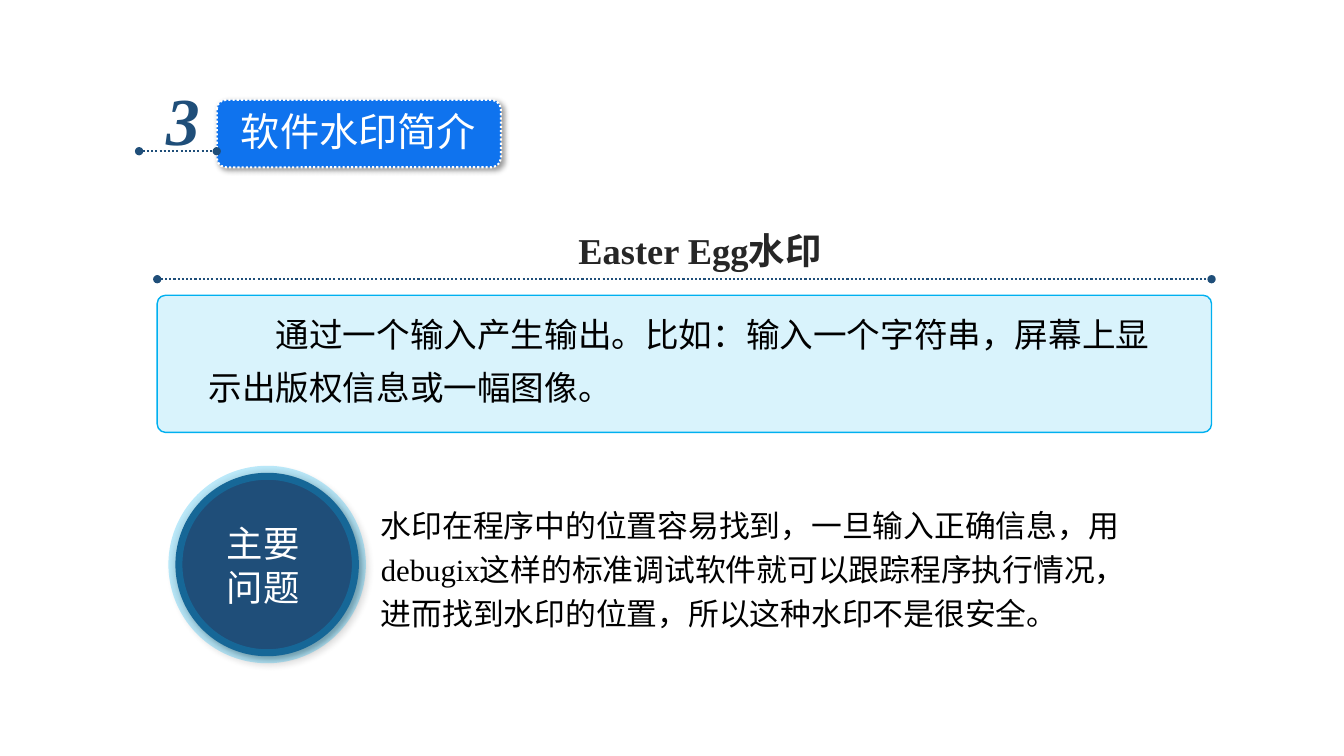
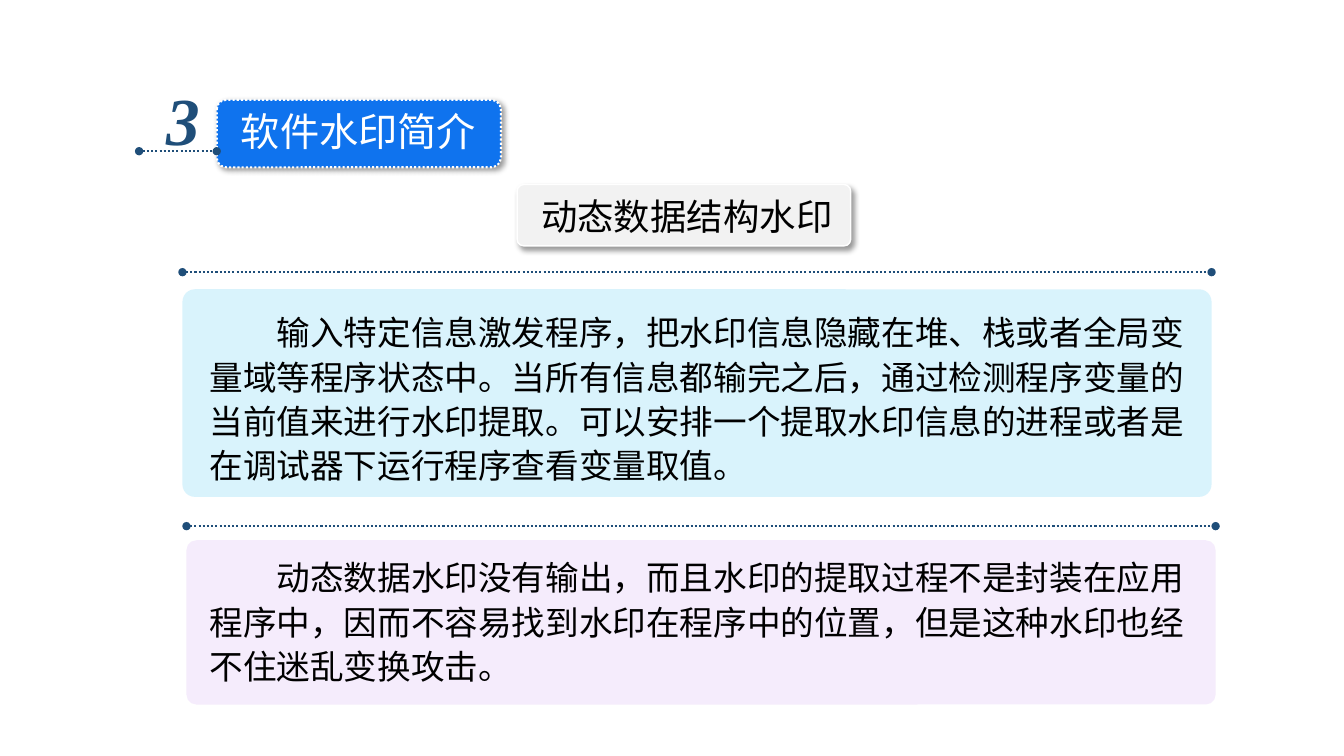
from lxml.etree import SubElement
from pptx import Presentation
from pptx.dml.color import RGBColor as Rgb
from pptx.enum.dml import MSO_LINE as Dash
from pptx.enum.shapes import MSO_CONNECTOR as Link, MSO_SHAPE as Form
from pptx.enum.text import MSO_ANCHOR as Anchor, MSO_AUTO_SIZE as Fit, PP_ALIGN as Align
from pptx.oxml.ns import qn
from pptx.util import Inches, Pt

CELL = Inches(1) // 6
COLUMNS, ROWS = 80, 45
TITLE_ONLY = 5
SANS, SERIF = "Noto Sans CJK SC", "Times New Roman"
COLORS = {
    "white": "FFFFFF", "black": "000000", "ink": "262626", "navy": "1F4E79",
    "badge": "0F73EE", "cyan": "00B0F0", "lilac": "E3C9F7", "grey": "F2F2F2",
}


def cells(*counts):
    """Turn grid counts into lengths."""
    return [round(count * CELL) for count in counts]


def color(name):
    """Look up a palette colour."""
    return Rgb.from_string(COLORS[name])


def set_alpha(holder, percent):
    """Make the first colour inside an element partly transparent."""
    tint = next(holder.iter(qn("a:srgbClr")))
    SubElement(tint, qn("a:alpha"), val=str(percent * 1000))


class Deck:
    """Hold the shared style and the current slide."""

    def __init__(self):
        """Open a blank widescreen presentation."""
        self.show = Presentation()
        self.show.slide_width, self.show.slide_height = cells(COLUMNS, ROWS)
        self.slide = None

    def section(self, number, title):
        """Start a slide with its numbered section badge."""
        self.slide = self.show.slides.add_slide(self.show.slide_layouts[TITLE_ONLY])
        badge = self.form((12.9, 5.94, 16.92, 4.02), "badge", corner=0.14,
                          line="white", weight=1.5, dash=Dash.ROUND_DOT, shadow=True)
        heading = self.slide.shapes.title
        heading.left, heading.top, heading.width, heading.height = cells(13.74, 6.42, 15.36, 3.18)
        badge.element.addnext(heading.element)
        self.set_words(heading, title, 28, "white", spacing=0.9, wrap=False)
        self.text((9.3, 4.38, 3.24, 5.46), number, 48, "navy", font=SERIF,
                  bold=True, italic=True, wrap=False)
        self.rule(8.28, 12.9, 9)

    def form(self, box, fill, kind=Form.ROUNDED_RECTANGLE, corner=None, alpha=None,
             line=None, weight=1, dash=None, line_alpha=None, shadow=False):
        """Draw a filled preset shape."""
        form = self.slide.shapes.add_shape(kind, *cells(*box))
        form.shadow.inherit = False
        if corner is not None:
            form.adjustments[0] = corner
        form.fill.solid()
        form.fill.fore_color.rgb = color(fill)
        props = form.element.spPr
        if alpha:
            set_alpha(props, alpha)
        if line:
            form.line.color.rgb = color(line)
            form.line.width = Pt(weight)
            if dash:
                form.line.dash_style = dash
            if line_alpha:
                set_alpha(props.find(qn("a:ln")), line_alpha)
        else:
            form.line.fill.background()
        if shadow:
            cast = SubElement(props.find(qn("a:effectLst")), qn("a:outerShdw"),
                              blurRad=str(Pt(4)), dist=str(Pt(3)), dir="2700000",
                              algn="tl", rotWithShape="0")
            SubElement(cast, qn("a:srgbClr"), val=COLORS["black"])
            set_alpha(cast, 40)
        return form

    def rule(self, start, end, row):
        """Draw a dotted line with round ends."""
        rule = self.slide.shapes.add_connector(Link.STRAIGHT, *cells(start, row, end, row))
        rule.line.color.rgb = color("navy")
        rule.line.width = Pt(1.5)
        rule.line.dash_style = Dash.ROUND_DOT
        props = rule.element.spPr
        for end_tag in ("a:headEnd", "a:tailEnd"):
            SubElement(props.find(qn("a:ln")), qn(end_tag), type="oval")
        SubElement(props, qn("a:effectLst"))

    def panel(self, box, gap, fill, alpha, line=None):
        """Draw a tinted panel with a rule above it."""
        left, top, width, _ = box
        self.rule(left, left + width, top - gap)
        self.form(box, fill, corner=0.06, alpha=alpha, line=line)

    def text(self, box, words, size, ink="black", **style):
        """Add a text box."""
        self.set_words(self.slide.shapes.add_textbox(*cells(*box)), words, size, ink, **style)

    def set_words(self, holder, words, size, ink, font=SANS, bold=False, italic=False,
                  spacing=1.0, indent=0, wrap=True):
        """Fill a text holder with one styled paragraph."""
        frame = holder.text_frame
        frame.text = words
        frame.word_wrap = wrap
        frame.auto_size = Fit.NONE
        frame.vertical_anchor = Anchor.TOP
        paragraph = frame.paragraphs[0]
        paragraph.alignment = Align.LEFT
        paragraph.line_spacing = spacing
        face = paragraph.font
        face.size, face.bold, face.italic = Pt(size), bold, italic
        face.color.rgb = color(ink)
        face.name = font
        props = paragraph._p.get_or_add_pPr()
        SubElement(props.find(qn("a:defRPr")), qn("a:ea"), typeface=SANS)
        if indent:
            props.set("marL", "0")
            props.set("indent", str(Pt(indent * size)))


def easter_egg(deck):
    """Build the Easter Egg watermark slide."""
    deck.section("3", "软件水印简介")
    deck.panel((9.36, 17.58, 62.76, 8.16), 0.96, "cyan", 15, line="cyan")
    deck.text((11.82, 17.7, 57.84, 6.66),
              "通过一个输入产生输出。比如：输入一个字符串，屏幕上显示出版权信息或一幅图像。",
              24, spacing=1.3, indent=2)
    deck.text((33.84, 13.26, 16.92, 3.24), "Easter Egg水印", 26, "ink", font=SERIF, bold=True)
    deck.text((22.08, 29.4, 45.9, 8.4),
              "水印在程序中的位置容易找到，一旦输入正确信息，用debugix这样的标准调试软件"
              "就可以跟踪程序执行情况，进而找到水印的位置，所以这种水印不是很安全。",
              22, font=SERIF, spacing=1.2)
    deck.form((10.44, 28.14, 10.92, 10.92), "navy", kind=Form.OVAL,
              line="cyan", weight=10, line_alpha=25, shadow=True)
    deck.text((12.9, 30.72, 6.66, 5.88), "主要问题", 26, "white")


def dynamic_structure(deck):
    """Build the dynamic data structure watermark slide."""
    deck.section("3", "软件水印简介")
    deck.form((30.78, 10.98, 19.86, 3.66), "grey", corner=0.11, line="white", shadow=True)
    deck.text((31.62, 11.28, 19.5, 3.24), "动态数据结构水印", 26)
    deck.panel((10.86, 17.22, 61.26, 12.36), 1.02, "cyan", 15)
    deck.text((11.88, 18.06, 59.7, 11.16),
              "输入特定信息激发程序，把水印信息隐藏在堆、栈或者全局变量域等程序状态中。"
              "当所有信息都输完之后，通过检测程序变量的当前值来进行水印提取。"
              "可以安排一个提取水印信息的进程或者是在调试器下运行程序查看变量取值。",
              24, spacing=1.1, indent=2)
    deck.panel((11.1, 32.16, 61.26, 9.78), 0.84, "lilac", 34)
    deck.text((11.88, 32.64, 59.52, 8.46),
              "动态数据水印没有输出，而且水印的提取过程不是封装在应用程序中，"
              "因而不容易找到水印在程序中的位置，但是这种水印也经不住迷乱变换攻击。",
              24, spacing=1.1, indent=2)


def main():
    """Build and save the presentation."""
    deck = Deck()
    easter_egg(deck)
    dynamic_structure(deck)
    deck.show.save("out.pptx")


if __name__ == "__main__":
    main()
